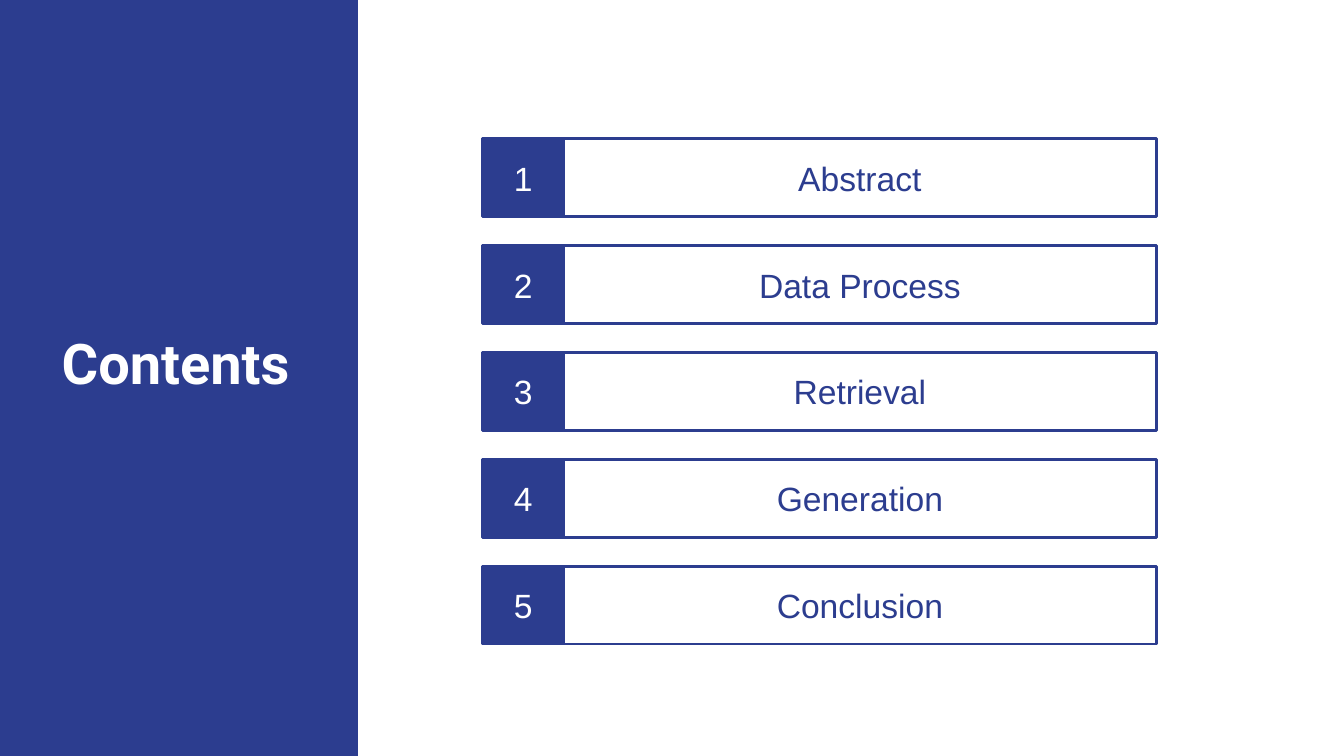
from pptx import Presentation
from pptx.dml.color import RGBColor
from pptx.enum.shapes import MSO_SHAPE as Shape
from pptx.enum.text import MSO_ANCHOR as Anchor, MSO_AUTO_SIZE as AutoSize, PP_ALIGN as Align
from pptx.util import Cm, Pt

BLUE = RGBColor(0x2C, 0x3D, 0x8F)
WHITE = RGBColor(0xFF, 0xFF, 0xFF)

SLIDE_WIDTH, SLIDE_HEIGHT = Cm(33.87), Cm(19.05)
SECTIONS = ["Abstract", "Data Process", "Retrieval", "Generation", "Conclusion"]


def style_font(paragraph, name, size, color, bold=False):
    font = paragraph.font
    font.name, font.size, font.bold = name, Pt(size), bold
    font.color.rgb = color


def add_title_panel(slide, left, top, width, height):
    panel = slide.shapes.add_shape(Shape.RECTANGLE, left, top, width, height)
    panel.shadow.inherit = False
    panel.fill.solid()
    panel.fill.fore_color.rgb = BLUE
    panel.line.fill.background()

    title = slide.shapes.title
    panel.element.addnext(title.element)  # bring the title in front of the panel
    title.left, title.top = left + Cm(1.3), top + Cm(8.15)
    title.width, title.height = Cm(6.48), Cm(1.96)
    title.text = "Contents"
    frame = title.text_frame
    frame.vertical_anchor = Anchor.TOP
    frame.auto_size = AutoSize.SHAPE_TO_FIT_TEXT
    paragraph = frame.paragraphs[0]
    paragraph.alignment = Align.LEFT
    style_font(paragraph, "Roboto", 40, WHITE, bold=True)


def add_cell(slide, text, left, top, width, height, filled):
    cell = slide.shapes.add_shape(Shape.RECTANGLE, left, top, width, height)
    cell.shadow.inherit = False
    if filled:
        cell.fill.solid()
        cell.fill.fore_color.rgb = BLUE
    else:
        cell.fill.background()
    cell.line.color.rgb = BLUE
    cell.line.width = Pt(2)
    frame = cell.text_frame
    frame.text = text
    frame.vertical_anchor = Anchor.MIDDLE
    paragraph = frame.paragraphs[0]
    paragraph.alignment = Align.CENTER
    style_font(paragraph, "Arial", 24, WHITE if filled else BLUE)


def add_section_list(slide, left, top, width, height):
    """Stack one numbered row per section, evenly spaced over the box."""
    number_width, row_height = Cm(2.03), Cm(1.96)
    pitch = (height - row_height) // (len(SECTIONS) - 1)
    for index, section in enumerate(SECTIONS):
        row_top = top + index * pitch
        add_cell(slide, section, left + number_width, row_top,
                 width - number_width, row_height, filled=False)
        add_cell(slide, str(index + 1), left, row_top,
                 number_width, row_height, filled=True)


def main():
    presentation = Presentation()
    presentation.slide_width, presentation.slide_height = SLIDE_WIDTH, SLIDE_HEIGHT
    slide = presentation.slides.add_slide(presentation.slide_layouts.get_by_name("Title Only"))
    add_title_panel(slide, 0, 0, Cm(9.02), SLIDE_HEIGHT)
    add_section_list(slide, Cm(12.17), Cm(3.5), Cm(16.97), Cm(12.73))
    presentation.save("out.pptx")


if __name__ == "__main__":
    main()
